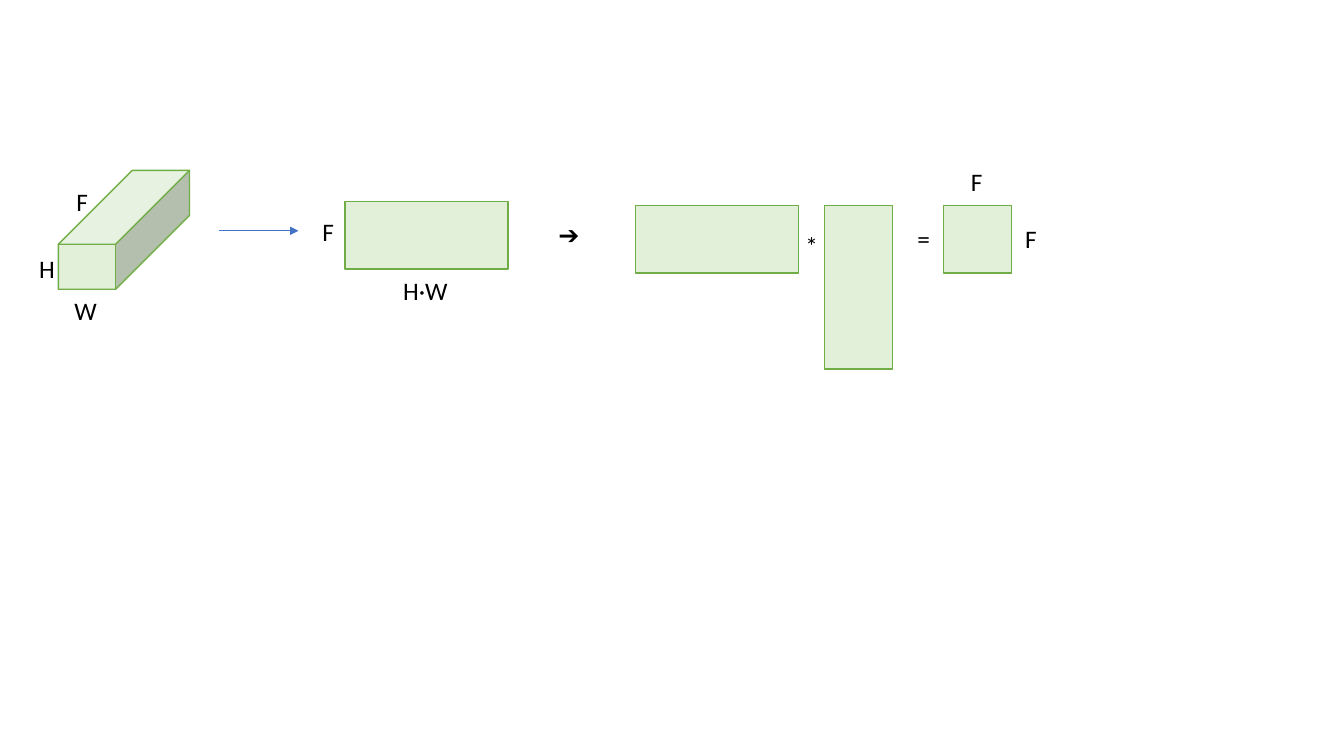
from dataclasses import dataclass

from lxml import etree
from pptx import Presentation
from pptx.dml.color import RGBColor
from pptx.enum.shapes import MSO_CONNECTOR, MSO_SHAPE
from pptx.enum.text import MSO_ANCHOR, MSO_AUTO_SIZE
from pptx.oxml.ns import qn
from pptx.util import Emu, Pt

CUBE = MSO_SHAPE.CUBE
RECTANGLE = MSO_SHAPE.RECTANGLE
STRAIGHT = MSO_CONNECTOR.STRAIGHT
GROW = MSO_AUTO_SIZE.SHAPE_TO_FIT_TEXT
TOP = MSO_ANCHOR.TOP
PX = 9144
LABEL_HEIGHT = 40
F_WIDTH = 32
OPERATOR_WIDTH = 33
FEATURES = 67
POSITIONS = 162


@dataclass(frozen=True)
class Theme:
    """Colours, font and sizes of the diagram."""
    block: RGBColor = RGBColor(0xE2, 0xF0, 0xD9)
    outline: RGBColor = RGBColor(0x70, 0xAD, 0x47)
    arrow: RGBColor = RGBColor(0x44, 0x72, 0xC4)
    text: RGBColor = RGBColor(0, 0, 0)
    font: str = "Calibri"
    label_size: Pt = Pt(18)
    outline_width: Pt = Pt(1)
    arrow_width: Pt = Pt(0.5)


THEME = Theme()


def px(*lengths):
    """Turn lengths in px into EMU."""
    return [Emu(length * PX) for length in lengths]


def add_block(slide, kind, left, top, width, height):
    """Add a green block of the given preset shape."""
    block = slide.shapes.add_shape(kind, *px(left, top, width, height))
    block.shadow.inherit = False
    block.fill.solid()
    block.fill.fore_color.rgb = THEME.block
    block.line.color.rgb = THEME.outline
    block.line.width = THEME.outline_width
    return block


def add_label(slide, wording, left, top, width):
    """Add a one-line label."""
    label = slide.shapes.add_textbox(*px(left, top, width, LABEL_HEIGHT))
    frame = label.text_frame
    frame.text = wording
    frame.word_wrap = False
    frame.auto_size = GROW
    frame.vertical_anchor = TOP
    font = frame.paragraphs[0].runs[0].font
    font.name = THEME.font
    font.size = THEME.label_size
    font.color.rgb = THEME.text


def add_feature_tensor(slide, left, top, width, height):
    """Draw the F by H by W feature tensor with its dimensions."""
    tensor = add_block(slide, CUBE, left, top, width, height)
    tensor.adjustments[0] = 0.621
    add_label(slide, "F", left + 8, top + 11, F_WIDTH)
    add_label(slide, "H", left - 29, top + 77, 36)
    add_label(slide, "W", left + 6, top + height + 1, 43)


def add_reshape_arrow(slide, left, top, width):
    """Draw the arrow from the tensor to the flattened matrix."""
    arrow = slide.shapes.add_connector(
        STRAIGHT, *px(left, top, left + width, top))
    arrow.line.color.rgb = THEME.arrow
    arrow.line.width = THEME.arrow_width
    etree.SubElement(arrow.line._get_or_add_ln(), qn("a:tailEnd"), type="triangle")
    etree.SubElement(arrow._element.spPr, qn("a:effectLst"))


def add_flat_matrix(slide, left, top, width, height):
    """Draw the F by H·W matrix with its dimensions."""
    add_block(slide, RECTANGLE, left, top, width, height)
    add_label(slide, "F", left - F_WIDTH, top + 10, F_WIDTH)
    add_label(slide, "H·W", left + (width - 65) // 2, top + height + 1, 65)


def add_gram_product(slide, left, top):
    """Draw the matrix times its transpose and the F by F result."""
    transpose_left = left + 188
    result_left = left + 306
    add_block(slide, RECTANGLE, left, top, POSITIONS, FEATURES)
    add_block(slide, RECTANGLE, transpose_left, top, FEATURES, POSITIONS)
    add_block(slide, RECTANGLE, result_left, top, FEATURES, FEATURES)
    add_label(slide, "*", left + POSITIONS - 3, top + 20, OPERATOR_WIDTH)
    add_label(slide, "=", result_left - 36, top + 13, OPERATOR_WIDTH)
    add_label(slide, "F", result_left + (FEATURES - F_WIDTH) // 2, top - 44, F_WIDTH)
    add_label(slide, "F", result_left + FEATURES + 4, top + 13, F_WIDTH)


def main():
    """Build the Gram matrix slide and save it."""
    deck = Presentation()
    deck.slide_width, deck.slide_height = px(1333, 750)
    slide = deck.slides.add_slide(deck.slide_layouts[6])
    add_feature_tensor(slide, 58, 169, 130, 118)
    add_reshape_arrow(slide, 217, 229, 79)
    add_flat_matrix(slide, 342, 200, POSITIONS, FEATURES)
    add_label(slide, "➔", 544, 213, 53)
    add_gram_product(slide, 630, 204)
    deck.save("out.pptx")


if __name__ == "__main__":
    main()
